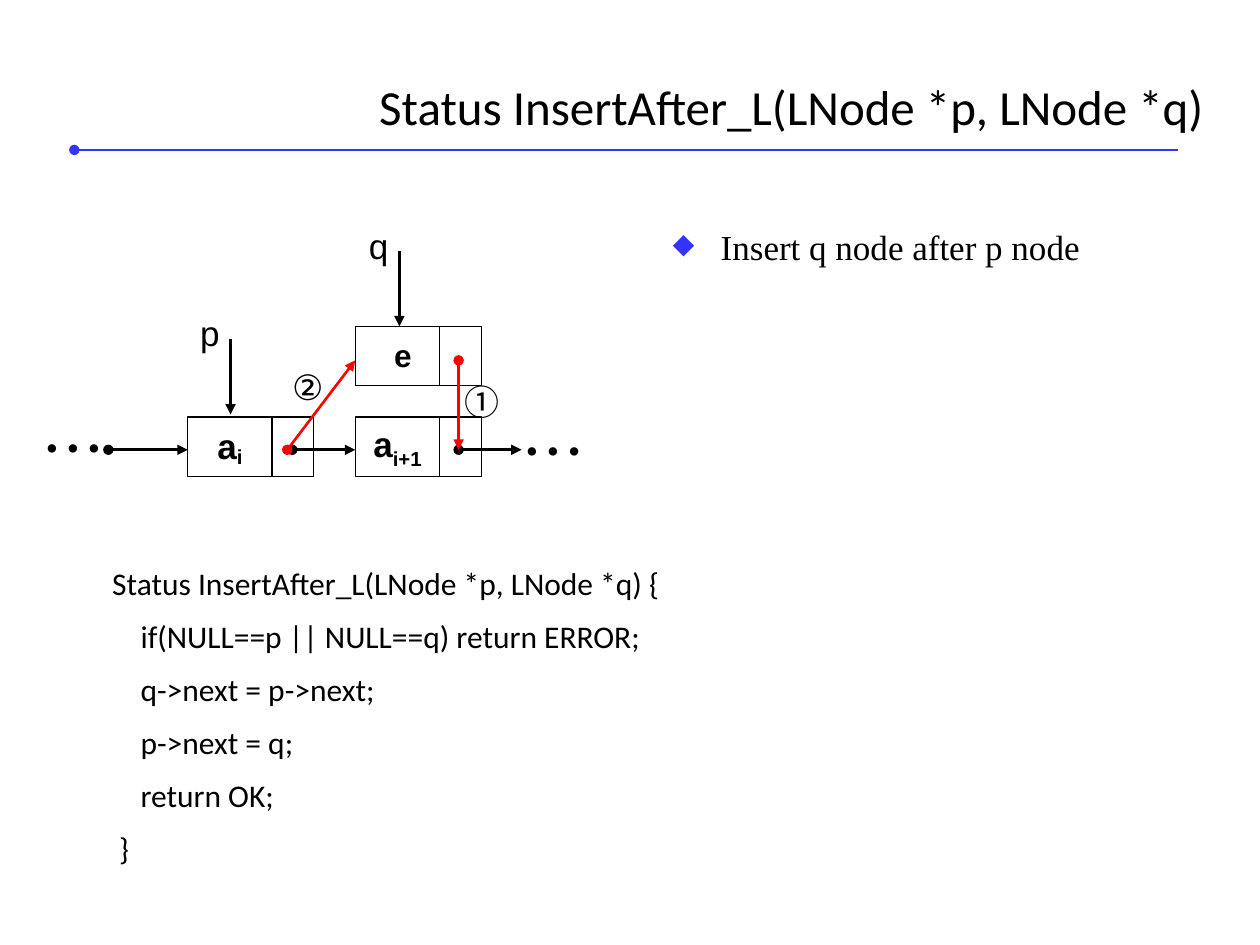
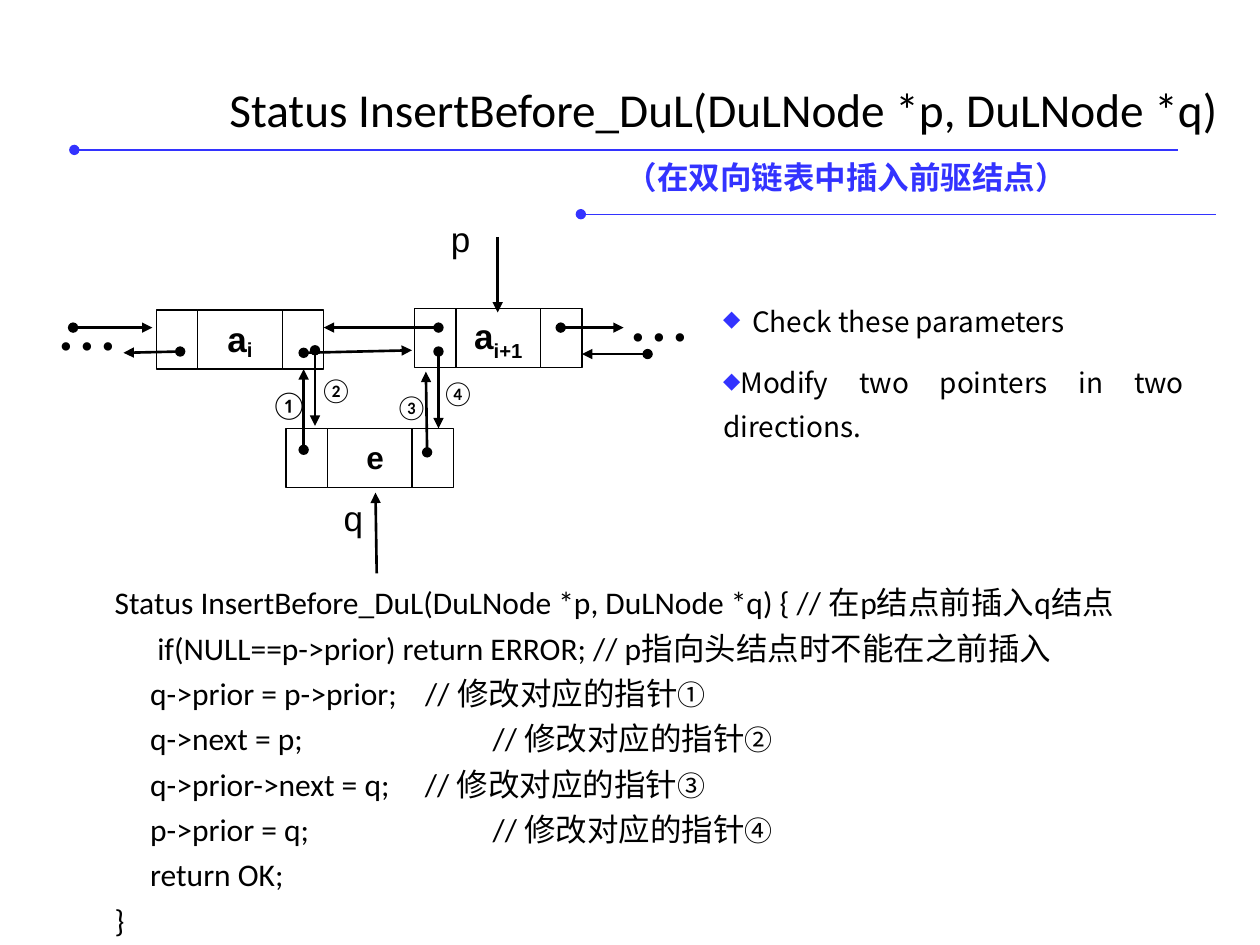
"""Two slides on inserting a node into singly and doubly linked lists."""
from lxml.etree import SubElement
from pptx import Presentation
from pptx.dml.color import RGBColor
from pptx.enum.shapes import MSO_CONNECTOR as Connector, MSO_SHAPE as Shape
from pptx.enum.text import MSO_ANCHOR as Anchor, MSO_AUTO_SIZE as AutoSize, PP_ALIGN as Align
from pptx.oxml.ns import qn
from pptx.util import Inches, Pt

BLACK = RGBColor(0x00, 0x00, 0x00)
WHITE = RGBColor(0xFF, 0xFF, 0xFF)
RED = RGBColor(0xFF, 0x00, 0x00)
BLUE = RGBColor(0x33, 0x33, 0xFF)
SERIF, SANS, CODE, CJK = "Times New Roman", "Arial", "Calibri", "Noto Sans CJK SC"

DATA_W, LINK_W, CELL_H = 0.67, 0.33, 0.47
DOTS_SIZE = (0.92, 0.33)
PANEL_INSETS = (0.2, 0.05, 0.04, 0.05)
DOTS_INSETS = (0.1, 0.01, 0.1, 0.05)
BOX_INSETS = (0.1, 0.05, 0.1, 0.05)

A_I = [("a", {}), ("i", {"base": -16})]
A_NEXT = [("a", {}), ("i+1", {"base": -25})]

SLIDES = [
    {
        "title": ("Status InsertAfter_L(LNode *p, LNode *q)", (2.91, 0.52, 6.87, 0.64), 28),
        "points": {"at": (5.14, 1.64, 4.33, 0.98), "font": SERIF, "size": 20,
                   "items": [("Insert q node after p node", 0.38)]},
        "code": {"at": (0.69, 4.31, 8.51, 2.83), "spacing": 1.4, "lines": [
            ("Status InsertAfter_L(LNode *p, LNode *q) {", ""),
            ("    if(NULL==p || NULL==q) return ERROR;", ""),
            ("    q->next = p->next;", ""),
            ("    p->next = q;", ""),
            ("    return OK;", ""),
            (" }", "")]},
        "double": False,
        "nodes": [(1.49, 3.31, A_I), (2.82, 3.31, A_NEXT), (2.82, 2.59, None)],
        "dots": [(3.93, 3.39), (0.12, 3.37)],
        "names": [("p", 1.49, 2.42), ("q", 2.83, 1.73)],
        "pointers": [(1.83, 2.69, 1.83, 3.29), (3.17, 1.99, 3.17, 2.59)],
        "links": [(2.32, 3.57, 2.82, 3.57), (3.64, 3.57, 4.14, 3.57), (0.86, 3.57, 1.49, 3.57)],
        "new_links": [(3.64, 2.86, 3.64, 3.57), (2.28, 3.57, 2.82, 2.86)],
        "steps": [("②", (2.22, 2.85, 0.45, 0.43), SANS, 20), ("①", (3.64, 3.06, 0.37, 0.31), CJK, 20)],
    },
    {
        "title": ("Status InsertBefore_DuL(DuLNode *p, DuLNode *q)", (1.72, 0.54, 8.12, 0.64), 27),
        "subtitle": "（在双向链表中插入前驱结点）",
        "points": {"at": (5.54, 2.29, 3.9, 1.51), "font": CJK, "size": 16,
                   "items": [("Check these parameters", 0.23),
                             ("Modify two pointers in two directions.", 0)]},
        "code": {"at": (0.71, 4.52, 8.51, 2.88), "spacing": 1.2, "lines": [
            ("Status InsertBefore_DuL(DuLNode *p, DuLNode *q) { // 在p结点前插入q结点", ""),
            ("      if(NULL==p->prior) return ERROR; // p指向头结点时不能在之前插入", ""),
            ("     q->prior = p->prior;    // 修改对应的指针", "①"),
            ("     q->next = p; \t\t\t// 修改对应的指针", "②"),
            ("     q->prior->next = q;     // 修改对应的指针", "③"),
            ("     p->prior = q;\t\t\t// 修改对应的指针", "④"),
            ("     return OK;", ""),
            ("}", "")]},
        "double": True,
        "nodes": [(1.57, 2.46, A_I), (3.62, 2.45, A_NEXT), (2.6, 3.4, None)],
        "dots": [(4.77, 2.49), (0.23, 2.56)],
        "names": [("q", 2.63, 3.89), ("p", 3.48, 1.68)],
        "pointers": [(2.99, 4.55, 2.98, 3.91), (3.95, 1.88, 3.95, 2.48)],
        "links": [(4.45, 2.6, 4.95, 2.6), (0.58, 2.6, 1.21, 2.6), (5.14, 2.81, 4.62, 2.81),
                  (3.48, 2.6, 2.57, 2.6), (2.41, 2.8, 3.27, 2.78), (1.43, 2.79, 0.98, 2.8),
                  (2.41, 3.57, 2.41, 2.93), (2.5, 2.78, 2.5, 3.38),
                  (3.39, 3.59, 3.38, 2.95), (3.48, 2.79, 3.48, 3.4)],
        "new_links": [],
        "steps": [("①", (2.05, 3.03, 0.42, 0.37), CODE, 16), ("②", (2.44, 2.93, 0.46, 0.33), CODE, 14),
                  ("③", (3.04, 3.06, 0.46, 0.33), CODE, 14), ("④", (3.41, 2.95, 0.46, 0.33), CODE, 14)],
    },
]


def inches(values):
    return [Inches(value) for value in values]


def add_span(para, text, font, size, color=BLACK, bold=False, base=0):
    span = para.add_run()
    span.text = text
    for name, value in {"name": font, "size": Pt(size), "bold": bold}.items():
        setattr(span.font, name, value)
    span.font.color.rgb = color
    properties = span.font._element if hasattr(span.font, "_element") else span._r.get_or_add_rPr()
    SubElement(properties, qn("a:ea")).set("typeface", CJK)
    if base:
        properties.set("baseline", str(base * 1000))


def add_bullet(para, hang):
    properties = para._p.get_or_add_pPr()
    properties.set("marL", str(Inches(hang)))
    properties.set("indent", str(-Inches(hang)))
    color = SubElement(properties, qn("a:buClr"))
    SubElement(color, qn("a:srgbClr")).set("val", str(BLUE))
    SubElement(properties, qn("a:buSzPct")).set("val", "80000")
    SubElement(properties, qn("a:buChar")).set("char", "◆")


def fill_text(box, paras, style, insets=BOX_INSETS, wrap=False, anchor=Anchor.TOP, bullets=(), **layout):
    frame = box.text_frame
    edges = zip(("margin_left", "margin_top", "margin_right", "margin_bottom"), inches(insets))
    for name, value in {"word_wrap": wrap, "auto_size": AutoSize.NONE,
                        "vertical_anchor": anchor, **dict(edges)}.items():
        setattr(frame, name, value)
    for index, spans in enumerate(paras):
        para = frame.add_paragraph() if index else frame.paragraphs[0]
        if bullets:
            add_bullet(para, bullets[index])
        for name, value in {"alignment": Align.LEFT, **layout}.items():
            if index or name != "space_before":
                setattr(para, name, value)
        for text, changes in spans:
            add_span(para, text, **{**style, **changes})


def add_text(page, at, paras, style, **options):
    fill_text(page.shapes.add_textbox(*inches(at)), paras, style, **options)


def add_line(page, ends, color=BLACK, width=1.5, head=None, tail=None):
    line = page.shapes.add_connector(Connector.STRAIGHT, *inches(ends))
    line.line.color.rgb = color
    line.line.width = Pt(width)
    outline = line.line._get_or_add_ln()
    for tag, kind in (("a:headEnd", head), ("a:tailEnd", tail)):
        if kind:
            SubElement(outline, qn(tag)).set("type", kind)
    SubElement(line._element.spPr, qn("a:effectLst"))


def add_cell(page, left, top, width):
    cell = page.shapes.add_shape(Shape.RECTANGLE, *inches((left, top, width, CELL_H)))
    cell.shadow.inherit = False
    cell.fill.solid()
    cell.fill.fore_color.rgb = WHITE
    cell.line.color.rgb = BLACK
    cell.line.width = Pt(0.75)
    return cell


def add_node(page, left, top, label, double):
    data = add_cell(page, left, top, DATA_W)
    add_cell(page, left + DATA_W, top, LINK_W)
    if double:
        add_cell(page, left - LINK_W, top, LINK_W)
    if label:
        fill_text(data, [label], {"font": SANS, "size": 20, "bold": True},
                  anchor=Anchor.MIDDLE, alignment=Align.CENTER)
    else:
        add_text(page, (left + 0.21, top + 0.03, 0.34, 0.4), [[("e", {})]],
                 {"font": SANS, "size": 18, "bold": True})


def add_header(page, title, subtitle):
    text, at, size = title
    box = page.shapes.title
    for name, value in zip(("left", "top", "width", "height"), inches(at)):
        setattr(box, name, value)
    fill_text(box, [[(text, {})]], {"font": CODE, "size": size}, anchor=Anchor.MIDDLE)
    add_line(page, (0.59, 1.19, 9.35, 1.19), BLUE, head="oval")
    if subtitle:
        add_text(page, (4.87, 1.24, 3.83, 0.32), [[(subtitle, {})]],
                 {"font": CJK, "size": 18, "color": BLUE, "bold": True}, anchor=Anchor.MIDDLE)
        add_line(page, (4.61, 1.7, 9.65, 1.7), BLUE, 0.75, head="oval")


def add_panels(page, points, code):
    add_text(page, points["at"], [[(text, {})] for text, _ in points["items"]],
             {"font": points["font"], "size": points["size"]}, insets=PANEL_INSETS, wrap=True,
             bullets=[hang for _, hang in points["items"]], alignment=Align.JUSTIFY,
             line_spacing=1.3, space_before=Pt(5), space_after=Pt(5))
    lines = [[(text, {})] + ([(mark, {"size": 16})] if mark else []) for text, mark in code["lines"]]
    add_text(page, code["at"], lines, {"font": CODE, "size": 18}, insets=PANEL_INSETS,
             wrap=True, line_spacing=code["spacing"])


def add_diagram(page, content):
    for left, top, label in content["nodes"]:
        add_node(page, left, top, label, content["double"])
    for place in content["dots"]:
        add_text(page, (*place, *DOTS_SIZE), [[("• • •", {})]], {"font": SERIF, "size": 20},
                 insets=DOTS_INSETS, alignment=Align.CENTER)
    for name, left, top in content["names"]:
        add_text(page, (left, top, 0.4, 0.43), [[(name, {})]], {"font": SANS, "size": 20}, wrap=True)
    for ends in content["pointers"]:
        add_line(page, ends, tail="triangle")
    for color, group in ((BLACK, "links"), (RED, "new_links")):
        for ends in content[group]:
            add_line(page, ends, color, head="oval", tail="triangle")
    for mark, at, font, size in content["steps"]:
        compact = {"anchor": Anchor.MIDDLE, "alignment": Align.CENTER, "line_spacing": 0.8}
        add_text(page, at, [[(mark, {})]], {"font": font, "size": size},
                 **(compact if font == CJK else {}))


def main():
    deck = Presentation()
    deck.slide_width, deck.slide_height = inches((10, 7.5))
    for content in SLIDES:
        page = deck.slides.add_slide(deck.slide_layouts[5])
        add_header(page, content["title"], content.get("subtitle"))
        add_panels(page, content["points"], content["code"])
        add_diagram(page, content)
    deck.save("out.pptx")


if __name__ == "__main__":
    main()
